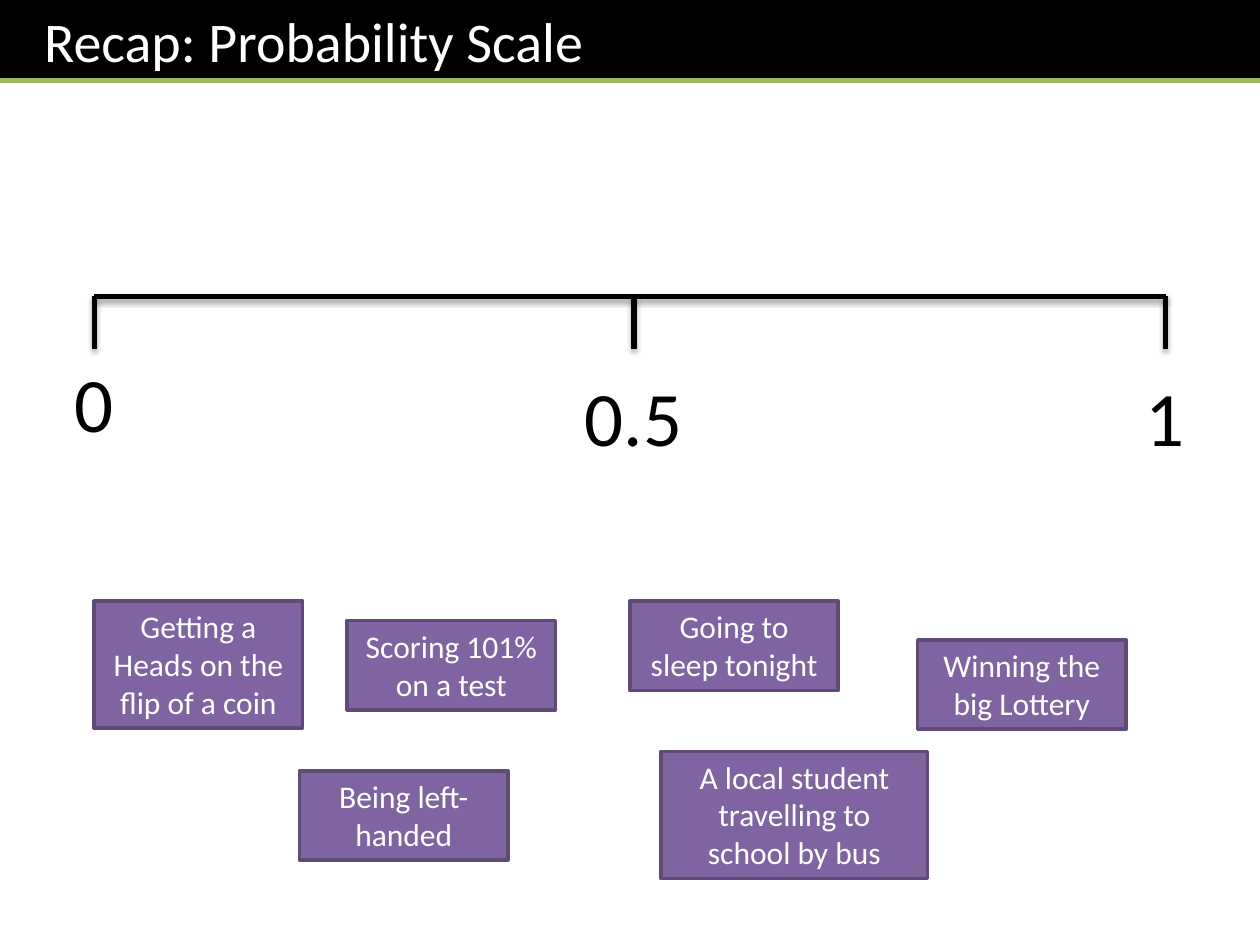
from lxml import etree
from pptx import Presentation
from pptx.dml.color import RGBColor
from pptx.enum.shapes import MSO_CONNECTOR, MSO_SHAPE
from pptx.enum.text import MSO_ANCHOR as ANCHOR, MSO_AUTO_SIZE as FIT, PP_ALIGN as ALIGN
from pptx.oxml import parse_xml
from pptx.oxml.ns import nsdecls, qn
from pptx.util import Cm, Pt

COLOURS = {
    "black": "000000",
    "white": "FFFFFF",
    "green": "9BBB59",
    "purple": "8064A2",
    "dark purple": "5F4A78",
}
SHADOW = (
    f'<a:effectLst {nsdecls("a")}>'
    '<a:outerShdw blurRad="40000" dist="23000" dir="5400000" rotWithShape="0">'
    '<a:srgbClr val="000000"><a:alpha val="35000"/></a:srgbClr>'
    '</a:outerShdw></a:effectLst>'
)

prs = Presentation()
prs.slide_width, prs.slide_height = Cm(25.4), Cm(19.05)
slide = prs.slides.add_slide(prs.slide_layouts[6])


def add_line(x1, y1, x2, y2, colour, shadow):
    line = slide.shapes.add_connector(
        MSO_CONNECTOR.STRAIGHT, Cm(x1), Cm(y1), Cm(x2), Cm(y2))
    line.line.color.rgb = RGBColor.from_string(COLOURS[colour])
    line.line.width = Pt(3)
    properties = line._element.spPr
    if shadow:
        properties.append(parse_xml(SHADOW))
    else:
        etree.SubElement(properties, qn("a:effectLst"))


def write(shape, text, size, colour, align=ALIGN.CENTER):
    frame = shape.text_frame
    frame.text = text
    frame.word_wrap = True
    frame.auto_size = FIT.SHAPE_TO_FIT_TEXT
    frame.vertical_anchor = ANCHOR.TOP
    paragraph = frame.paragraphs[0]
    paragraph.alignment = align
    font = paragraph.runs[0].font
    font.name, font.size = "Calibri", Pt(size)
    font.color.rgb = RGBColor.from_string(COLOURS[colour])


# Probability scale with its three ticks
scale_left, scale_middle, scale_right = 1.9, 12.78, 23.5
scale_top, tick_bottom = 5.97, 7.04
add_line(scale_left, scale_top, scale_right, scale_top, "black", True)
for tick in (scale_left, scale_right, scale_middle):
    add_line(tick, scale_top, tick, tick_bottom, "black", True)

# Scale values: text, left, top, width
for value, left, top, width in (
    ("0", 0.89, 7.04, 2),
    ("0.5", 11.07, 7.32, 3.4),
    ("1", 21.79, 7.32, 3.4),
):
    label = slide.shapes.add_textbox(Cm(left), Cm(top), Cm(width), Cm(2.14))
    write(label, value, 44, "black")

# Events to place on the scale: text, left, top, width, number of lines
box_heights = {2: 1.8, 3: 2.56}
for event, left, top, width, lines in (
    ("Getting a Heads on the flip of a coin", 1.9, 12.12, 4.2, 3),
    ("Scoring 101% on a test", 7, 12.51, 4.2, 2),
    ("Going to sleep tonight", 12.7, 12.12, 4.2, 2),
    ("Winning the big Lottery", 18.5, 12.9, 4.2, 2),
    ("Being left-handed", 6.04, 15.54, 4.2, 2),
    ("A local student travelling to school by bus", 13.33, 15.15, 5.37, 3),
):
    card = slide.shapes.add_shape(
        MSO_SHAPE.RECTANGLE, Cm(left), Cm(top), Cm(width), Cm(box_heights[lines]))
    card.shadow.inherit = False
    card.fill.solid()
    card.fill.fore_color.rgb = RGBColor.from_string(COLOURS["purple"])
    card.line.color.rgb = RGBColor.from_string(COLOURS["dark purple"])
    card.line.width = Pt(2)
    write(card, event, 18, "white")

# Title bar with the green rule
title = slide.shapes.add_shape(MSO_SHAPE.RECTANGLE, 0, 0, prs.slide_width, Cm(1.67))
title.shadow.inherit = False
title.fill.solid()
title.fill.fore_color.rgb = RGBColor.from_string(COLOURS["black"])
title.line.fill.background()
title.text_frame.margin_left = Cm(0.89)
write(title, "Recap: Probability Scale", 32, "white", ALIGN.LEFT)
add_line(0, 1.63, 25.4, 1.63, "green", False)

prs.save("out.pptx")
